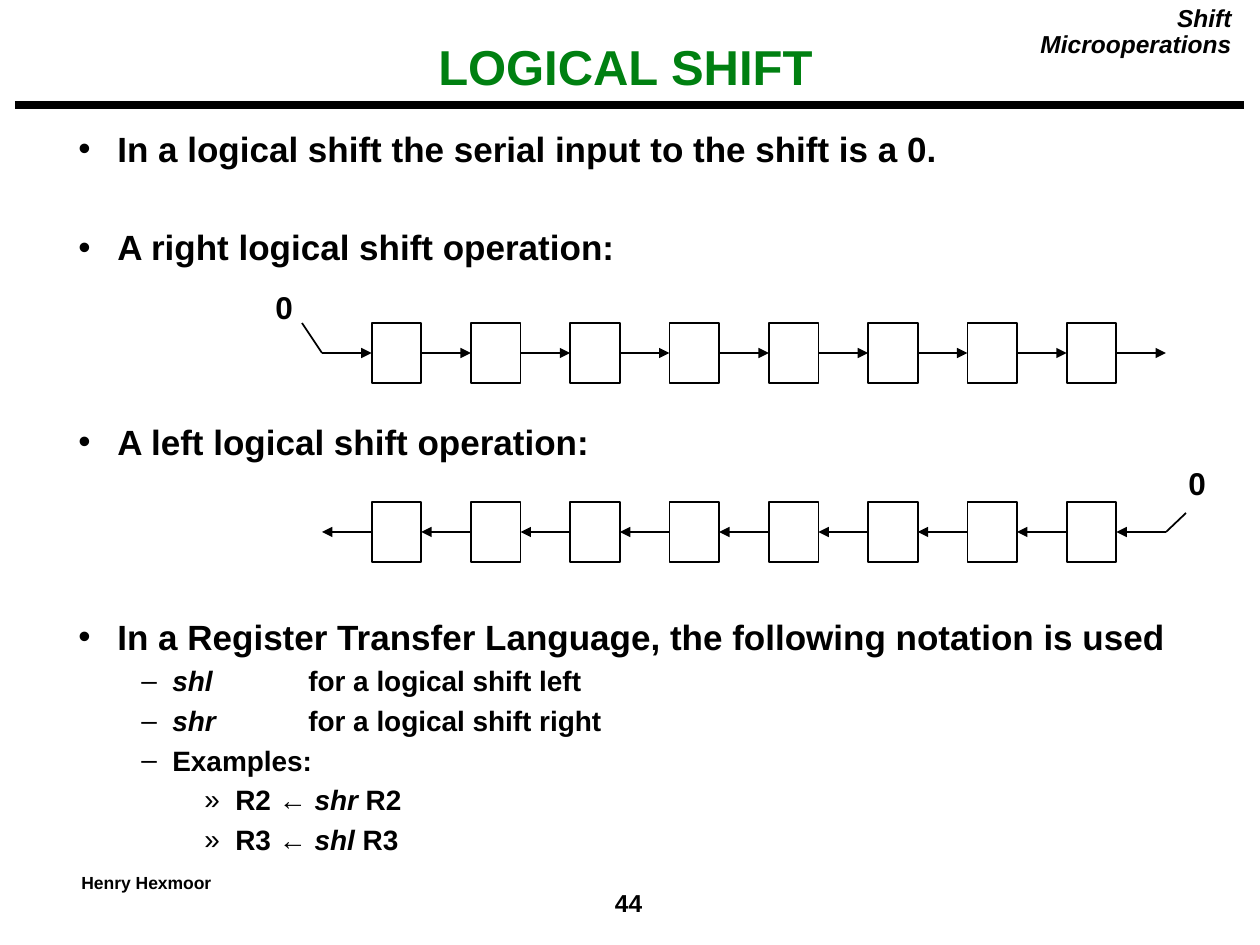
from lxml import etree
from pptx import Presentation, util as u
from pptx.dml.color import RGBColor
from pptx.enum import shapes, text
from pptx.oxml.ns import qn

PIXEL = 914400 / 126
BLACK = RGBColor(0x00, 0x00, 0x00)
GREEN = RGBColor(0x00, 0x80, 0x11)
FONT = "Arial"

CELLS = 8
ROW_LEFT, ROW_RIGHT = 322, 1166
CELL_HEIGHT = 60
TAB_SIZE = 115

# level: (left margin, hanging indent, bullet, size)
LEVELS = [
    (39, 39, "\u2022", 20),
    (94, 31, "\u2013", 16),
    (157, 31, "\u00bb", 16),
]

# level, space before in points, runs of (words, italic)
BULLETS = [
    (0, 6, [("In a logical shift the serial input to the shift is a 0.", False)]),
    (0, 34.5, [("A right logical shift operation:", False)]),
    (0, 89.7, [("A left logical shift operation:", False)]),
    (0, 89.7, [("In a Register Transfer Language, "
                "the following notation is used", False)]),
    (1, 5.5, [("shl", True), ("\tfor a logical shift left", False)]),
    (1, 5.5, [("shr", True), ("\tfor a logical shift right", False)]),
    (1, 5.5, [("Examples:", False)]),
    (2, 5.5, [("R2 \u2190 ", False), ("shr", True), (" R2", False)]),
    (2, 5.5, [("R3 \u2190 ", False), ("shl", True), (" R3", False)]),
]


def px(length):
    """Turn picture pixels into EMU."""
    return u.Emu(round(length * PIXEL))


def style(span, size, color=BLACK, italic=False):
    """Give a run the bold face of this slide."""
    span.font.name = FONT
    span.font.size = u.Pt(size)
    span.font.bold = True
    span.font.italic = italic
    span.font.color.rgb = color


def add_box(parent, left, top, width, height, wrap=True):
    """Add an empty text box."""
    box = parent.add_textbox(px(left), px(top), px(width), px(height))
    box.text_frame.word_wrap = wrap
    return box


def add_label(parent, place, words, size, color=BLACK, italic=False,
              align=text.PP_ALIGN.LEFT, wrap=False):
    """Add a text box holding one styled paragraph."""
    box = add_box(parent, *place, wrap=wrap)
    para = box.text_frame.paragraphs[0]
    para.text = words
    para.alignment = align
    para.line_spacing = 0.9
    style(para.runs[0], size, color, italic)
    return box


def add_line(parent, start, end, weight=1, arrow=False):
    """Add a straight line, with an arrowhead at its end if asked."""
    line = parent.add_connector(shapes.MSO_CONNECTOR.STRAIGHT,
                                *map(px, start + end))
    line.line.color.rgb = BLACK
    line.line.width = u.Pt(weight)
    if arrow:
        etree.SubElement(line.line._get_or_add_ln(), qn("a:tailEnd"),
                         type="triangle")
    etree.SubElement(line._element.spPr, qn("a:effectLst"))


def add_cell(parent, left, top, width):
    """Add one register cell as an outlined rectangle."""
    cell = parent.add_shape(shapes.MSO_SHAPE.RECTANGLE, px(left), px(top),
                            px(width), px(CELL_HEIGHT))
    cell.shadow.inherit = False
    cell.fill.background()
    cell.line.color.rgb = BLACK
    cell.line.width = u.Pt(1)


def add_register(page, top, to_right, input_end, zero_place):
    """Add a row of cells joined by arrows, with a 0 fed in at one end."""
    group = page.shapes.add_group_shape().shapes
    middle = top + CELL_HEIGHT / 2
    step = (ROW_RIGHT - ROW_LEFT) / (2 * CELLS + 1)
    for index in range(CELLS + 1):
        left = ROW_LEFT + 2 * index * step
        ends = [(left, middle), (left + step, middle)]
        start, end = ends if to_right else reversed(ends)
        add_line(group, start, end, arrow=True)
        if index < CELLS:
            add_cell(group, left + step, top, step)
    entry = ROW_LEFT if to_right else ROW_RIGHT
    add_line(group, (entry, middle), input_end)
    add_label(group, zero_place, "0", 18)


def add_bullets(page):
    """Add the bulleted body text."""
    frame = add_box(page.shapes, 66, 126, 1130, 782).text_frame
    for index, (level, space, spans) in enumerate(BULLETS):
        para = frame.add_paragraph() if index else frame.paragraphs[0]
        margin, hang, mark, size = LEVELS[level]
        para.level = level
        para.line_spacing = 0.9
        para.space_before = u.Pt(space)
        props = para._p.get_or_add_pPr()
        props.set("marL", str(px(margin)))
        props.set("indent", str(-px(hang)))
        props.set("defTabSz", str(px(TAB_SIZE)))
        etree.SubElement(props, qn("a:buFont"), typeface=FONT)
        etree.SubElement(props, qn("a:buChar"), char=mark)
        for words, italic in spans:
            span = para.add_run()
            span.text = words
            style(span, size, italic=italic)


def add_frame(page):
    """Add the title, the header, the rule and the footer."""
    title = add_label(page.shapes, (20, 40, 1211, 60), "LOGICAL SHIFT", 28,
                      GREEN, align=text.PP_ALIGN.CENTER, wrap=True)
    title.text_frame.vertical_anchor = text.MSO_ANCHOR.MIDDLE
    header = add_label(page.shapes, (968, 0, 276, 39), "Shift Microoperations",
                       14, italic=True, align=text.PP_ALIGN.RIGHT, wrap=True)
    header.text_frame.margin_left = px(40)
    add_line(page.shapes, (15, 105), (1244, 105), weight=4.5)
    add_label(page.shapes, (69, 868, 155, 32), "Henry Hexmoor", 10)
    number = add_label(page.shapes, (606, 887, 48, 37), "44", 14)
    for frame in (title.text_frame, number.text_frame):
        frame.margin_left = frame.margin_right = px(9)
        frame.margin_top = frame.margin_bottom = px(4)


def main():
    """Build the slide and save it."""
    deck = Presentation()
    deck.slide_width, deck.slide_height = u.Inches(10), u.Inches(7.5)
    page = deck.slides.add_slide(deck.slide_layouts[6])
    add_frame(page)
    add_bullets(page)
    add_register(page, 323, True, (302, 323), (263, 286, 43, 47))
    add_register(page, 502, False, (1186, 513), (1176, 462, 43, 47))
    deck.save("out.pptx")


main()
